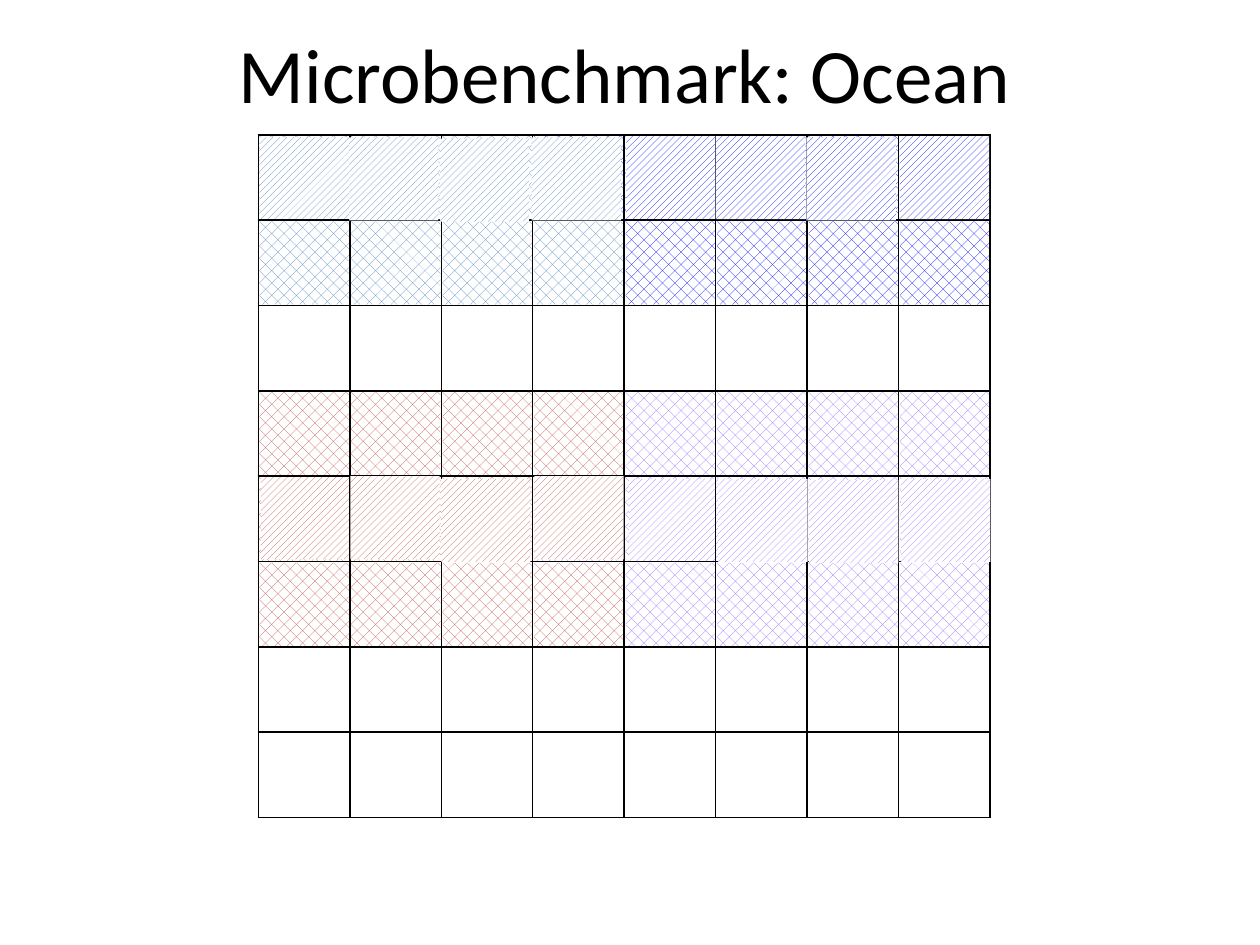
from lxml import etree
from pptx import Presentation
from pptx.dml.color import RGBColor
from pptx.enum.dml import MSO_PATTERN
from pptx.enum.shapes import MSO_SHAPE
from pptx.enum.text import MSO_ANCHOR, PP_ALIGN
from pptx.oxml.ns import qn
from pptx.util import Inches, Pt

DOTS = MSO_PATTERN.PERCENT_30
STRIPES = MSO_PATTERN.WIDE_UPWARD_DIAGONAL
RECTANGLE = MSO_SHAPE.RECTANGLE

TITLE = "Microbenchmark: Ocean"
GRID_SIZE = 8
GRID_LEFT, GRID_TOP, GRID_WIDTH, GRID_HEIGHT = 2.05, 1.07, 5.81, 5.42
COLUMN, ROW = GRID_WIDTH / GRID_SIZE, GRID_HEIGHT / GRID_SIZE
TILE_WIDTH, TILE_HEIGHT = 0.71, 0.66
INSET = 0.01
STEPS = 4

# Each thread sweeps four cells of its row; markers give its place at each step.
THREADS = [
    {"color": "4F81BD", "row": 0, "column": 0,
     "markers": [(2.06, 1.09), (2.77, 1.09), (3.49, 1.10), (4.22, 1.09)]},
    {"color": "0000FF", "row": 0, "column": 4,
     "markers": [(4.97, 1.08), (5.68, 1.08), (6.40, 1.09), (7.14, 1.08)]},
    {"color": "C0504D", "row": 4, "column": 0,
     "markers": [(2.07, 3.78), (2.78, 3.78), (3.50, 3.80), (4.24, 3.78)]},
    {"color": "9966FF", "row": 4, "column": 4,
     "markers": [(4.99, 3.80), (5.70, 3.80), (6.42, 3.81), (7.15, 3.80)]},
]
# Row and column offsets: above, centre, left, right, below
STENCIL = [(-1, 0), (0, 0), (0, -1), (0, 1), (1, 0)]


def rgb(color):
    return RGBColor.from_string(color)


def add_tile(group, left, top, color, pattern):
    tile = group.shapes.add_shape(RECTANGLE, Inches(left), Inches(top),
                                  Inches(TILE_WIDTH), Inches(TILE_HEIGHT))
    tile.shadow.inherit = False
    tile.line.fill.background()
    tile.fill.patterned()
    tile.fill.pattern = pattern
    tile.fill.fore_color.rgb = rgb(color)
    tile.fill.back_color.rgb = rgb("FFFFFF")


def add_stencils(slide, step):
    """Dot the cells that every thread reads at this step."""
    group = slide.shapes.add_group_shape()
    for thread in THREADS:
        for row_offset, column_offset in STENCIL:
            row = thread["row"] + row_offset
            column = thread["column"] + step + column_offset
            if 0 <= row < GRID_SIZE and 0 <= column < GRID_SIZE:
                add_tile(group, GRID_LEFT + INSET + column * COLUMN,
                         GRID_TOP + INSET + row * ROW, thread["color"], DOTS)


def add_markers(slide, step):
    """Stripe the cell that every thread writes at this step."""
    group = slide.shapes.add_group_shape()
    for thread in THREADS:
        left, top = thread["markers"][step]
        add_tile(group, left, top, thread["color"], STRIPES)


def set_borders(cell, color, width):
    properties = cell._tc.get_or_add_tcPr()
    for position, side in enumerate(("lnL", "lnR", "lnT", "lnB")):
        line = etree.Element(qn(f"a:{side}"), w=str(Pt(width)))
        fill = etree.SubElement(line, qn("a:solidFill"))
        etree.SubElement(fill, qn("a:srgbClr"), val=color)
        properties.insert(position, line)


def add_grid(slide):
    table = slide.shapes.add_table(
        GRID_SIZE, GRID_SIZE, Inches(GRID_LEFT), Inches(GRID_TOP),
        Inches(GRID_WIDTH), Inches(GRID_HEIGHT)).table
    table.first_row = False
    table.horz_banding = False
    for cell in table.iter_cells():
        cell.fill.background()
        set_borders(cell, "000000", 1)


def add_title(slide):
    frame = slide.shapes.add_textbox(Inches(0.25), Inches(0.08),
                                     Inches(9.42), Inches(1)).text_frame
    frame.word_wrap = True
    frame.vertical_anchor = MSO_ANCHOR.MIDDLE
    paragraph = frame.paragraphs[0]
    paragraph.text = TITLE
    paragraph.alignment = PP_ALIGN.CENTER
    paragraph.font.name = "Calibri"
    paragraph.font.size = Pt(44)
    paragraph.font.color.rgb = rgb("000000")


def main():
    presentation = Presentation()
    presentation.slide_width = Inches(10)
    presentation.slide_height = Inches(7.5)
    slide = presentation.slides.add_slide(presentation.slide_layouts[6])

    for step in reversed(range(STEPS)):
        add_stencils(slide, step)
    add_title(slide)
    add_markers(slide, 0)
    add_grid(slide)
    for step in range(1, STEPS):
        add_markers(slide, step)

    presentation.save("out.pptx")


if __name__ == "__main__":
    main()
